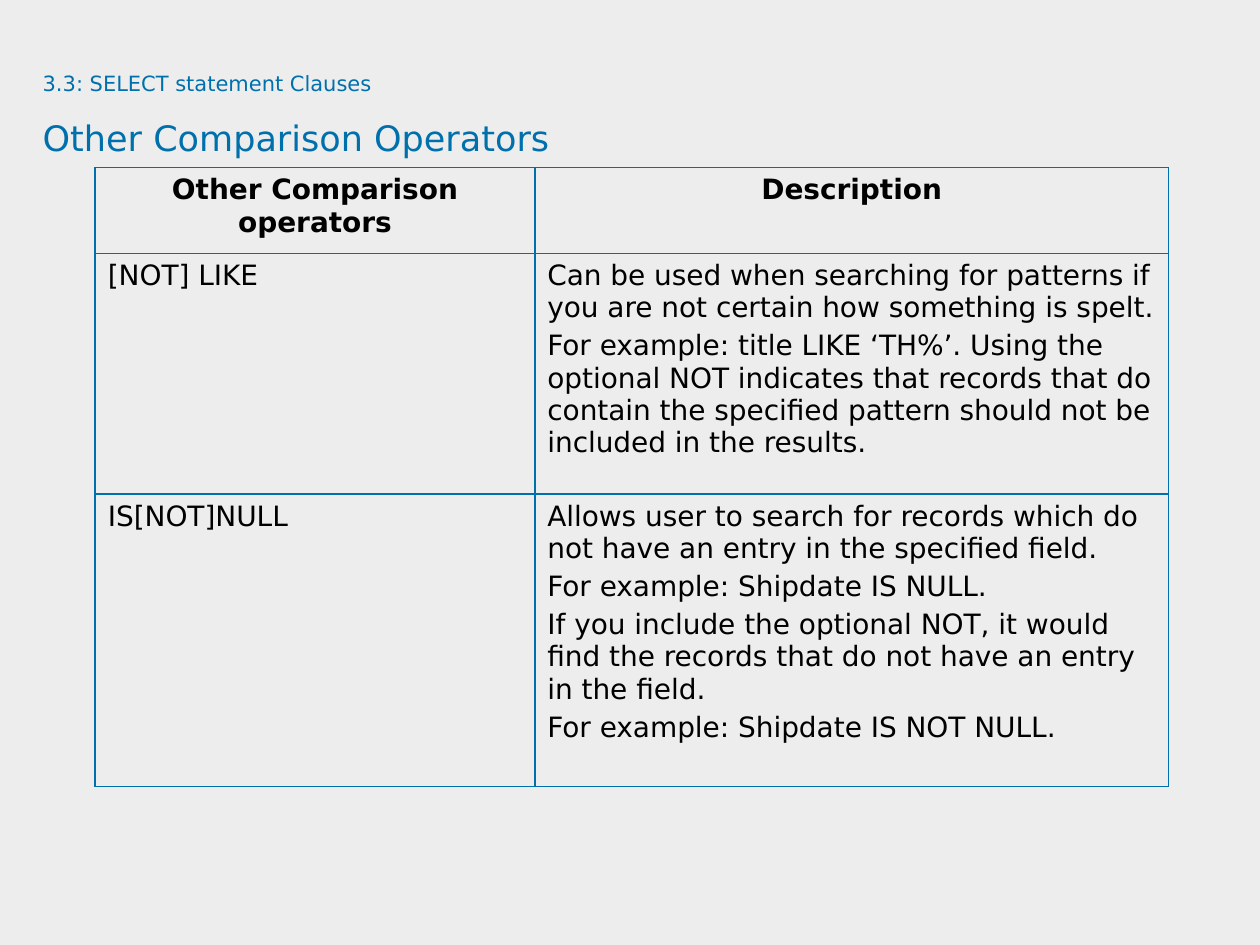
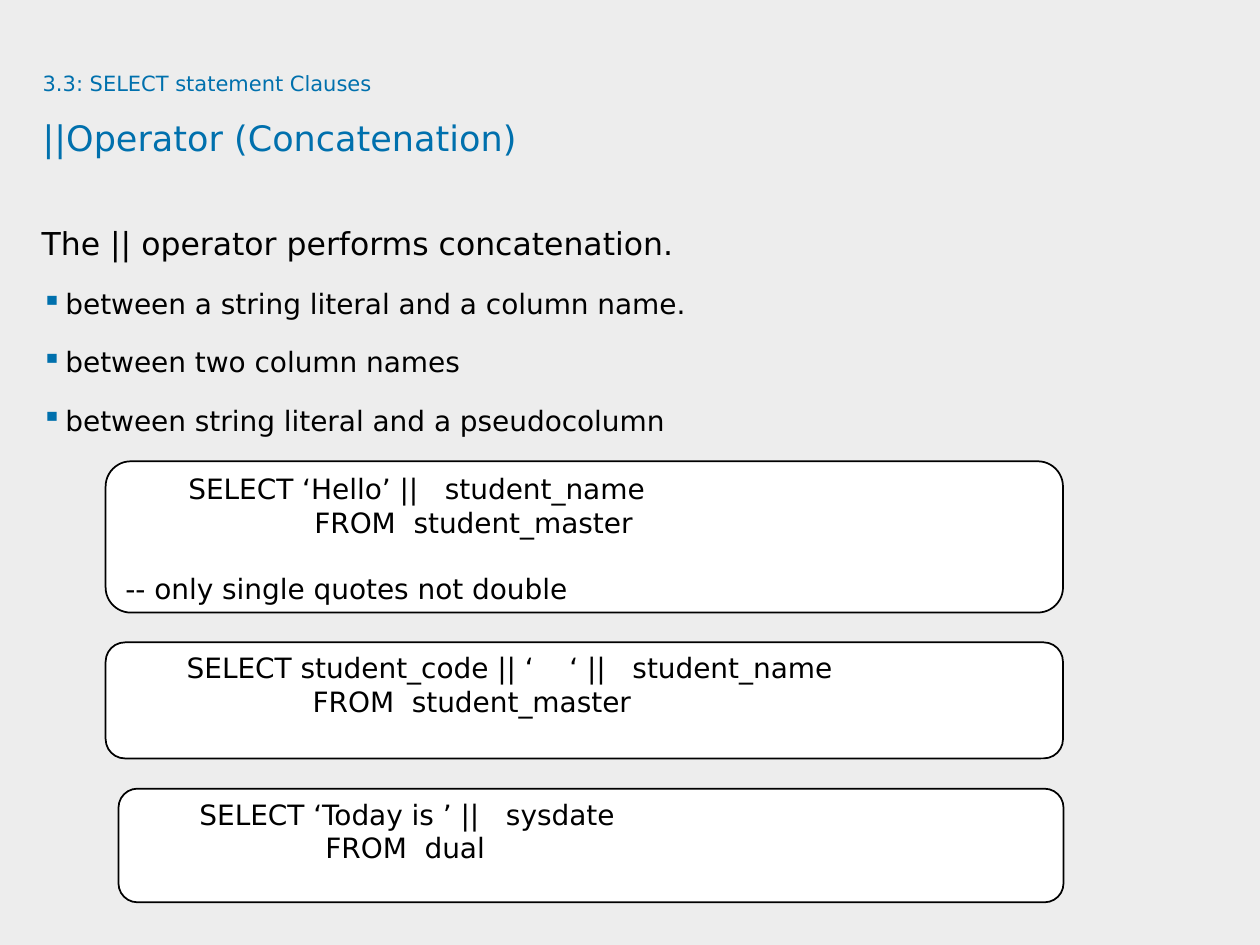
from lxml import etree
from pptx import Presentation
from pptx import util as u
from pptx.dml.color import RGBColor
from pptx.enum import shapes, text
from pptx.oxml.ns import qn

FONT = "DejaVu Sans"
COLORS = {"background": "EDEDED", "accent": "0070AD", "text": "000000", "box": "FFFFFF"}

SECTION = "3.3: SELECT statement Clauses"
TABLE_TITLE = "Other Comparison Operators"
CONCATENATION_TITLE = "||Operator (Concatenation)"

COLUMN_WIDTHS = (8.86, 12.78)
ROW_HEIGHTS = (1.73, 4.85, 5.9)
OPERATOR_ROWS = [
    (["Other Comparison operators"], ["Description"]),
    (["[NOT] LIKE"], [
        "Can be used when searching for patterns if you are not certain how something is spelt.",
        "For example: title LIKE ‘TH%’. Using the optional NOT indicates that records that do "
        "contain the specified pattern should not be included in the results.",
    ]),
    (["IS[NOT]NULL"], [
        "Allows user to search for records which do not have an entry in the specified field.",
        "For example: Shipdate IS NULL.",
        "If you include the optional NOT, it would find the records that do not have an entry "
        "in the field.",
        "For example: Shipdate IS NOT NULL.",
    ]),
]

INTRODUCTION = "The || operator performs concatenation."
USES = [
    "between a string literal and a column name.",
    "between two column names",
    "between string literal and a pseudocolumn",
]

# left, top, width, height in cm; then select line, from line, remark
QUERIES = [
    ((2.13, 9.3, 19.3, 3.05), "SELECT ‘Hello’ ||   student_name",
     "FROM  student_master", "-- only single quotes not double"),
    ((2.13, 12.95, 19.3, 2.34), "SELECT student_code || ‘    ‘ ||   student_name",
     "FROM  student_master", None),
    ((2.39, 15.9, 19.05, 2.29), "SELECT ‘Today is ’ ||   sysdate", "FROM  dual", None),
]
SELECT_INDENT, FROM_INDENT = 1.27, 3.81
LINE_HEIGHT = 18.6


def color(name):
    return RGBColor.from_string(COLORS[name])


def add_run(paragraph, content, size, color_name="text", bold=False):
    run = paragraph.add_run()
    run.text = content
    run.font.name = FONT
    run.font.size = u.Pt(size)
    run.font.bold = bold
    run.font.color.rgb = color(color_name)


def paragraphs_for(frame, count):
    """Return count paragraphs, the first being the one the frame already has."""
    return [frame.paragraphs[0]] + [frame.add_paragraph() for _ in range(count - 1)]


def set_indent(paragraph, left, first=0):
    properties = paragraph._p.get_or_add_pPr()
    properties.set("marL", str(u.Cm(left)))
    properties.set("indent", str(u.Cm(first)))
    return properties


def prepare_frame(frame, left=0, top=0):
    frame.word_wrap = True
    frame.auto_size = text.MSO_AUTO_SIZE.NONE
    frame.vertical_anchor = text.MSO_ANCHOR.TOP
    frame.margin_left = frame.margin_right = u.Cm(left)
    frame.margin_top = frame.margin_bottom = u.Cm(top)


def add_slide(presentation, heading):
    slide = presentation.slides.add_slide(presentation.slide_layouts[5])
    title = slide.shapes.title
    title.left, title.top, title.width, title.height = map(u.Cm, (0.86, 1.17, 23.09, 2.39))
    prepare_frame(title.text_frame)
    paragraph = title.text_frame.paragraphs[0]
    paragraph.alignment = text.PP_ALIGN.LEFT
    paragraph.line_spacing = 1.5
    add_run(paragraph, SECTION, 12, "accent")
    paragraph.add_line_break()
    add_run(paragraph, heading, 20, "accent")
    return slide


def set_borders(cell):
    properties = cell._tc.get_or_add_tcPr()
    for position, side in enumerate(("lnL", "lnR", "lnT", "lnB")):
        line = etree.Element(qn(f"a:{side}"), w=str(u.Pt(1)))
        fill = etree.SubElement(line, qn("a:solidFill"))
        etree.SubElement(fill, qn("a:srgbClr"), val=COLORS["accent"])
        properties.insert(position, line)


def add_operator_table(slide):
    table = slide.shapes.add_table(
        len(ROW_HEIGHTS), len(COLUMN_WIDTHS), u.Cm(1.92), u.Cm(3.38),
        u.Cm(sum(COLUMN_WIDTHS)), u.Cm(sum(ROW_HEIGHTS))).table
    table.first_row = table.horz_banding = False
    for column, width in zip(table.columns, COLUMN_WIDTHS):
        column.width = u.Cm(width)
    for row_index, (row, height) in enumerate(zip(table.rows, ROW_HEIGHTS)):
        row.height = u.Cm(height)
        is_header = row_index == 0
        for cell, lines in zip(row.cells, OPERATOR_ROWS[row_index]):
            cell.fill.background()
            set_borders(cell)
            paragraphs = paragraphs_for(cell.text_frame, len(lines))
            for index, (paragraph, line) in enumerate(zip(paragraphs, lines)):
                paragraph.alignment = text.PP_ALIGN.CENTER if is_header else text.PP_ALIGN.LEFT
                paragraph.space_before = u.Pt(3.2 if index else 0)
                add_run(paragraph, line, 16, bold=is_header)


def add_bullet(paragraph):
    properties = set_indent(paragraph, 0.48, -0.48)
    bullet_color = etree.SubElement(properties, qn("a:buClr"))
    etree.SubElement(bullet_color, qn("a:srgbClr"), val=COLORS["accent"])
    etree.SubElement(properties, qn("a:buChar"), char="▪")


def add_uses(slide):
    box = slide.shapes.add_textbox(u.Cm(0.84), u.Cm(4.14), u.Cm(24.56), u.Cm(12.9))
    prepare_frame(box.text_frame)
    lines = [INTRODUCTION] + USES
    paragraphs = paragraphs_for(box.text_frame, len(lines))
    for index, (paragraph, line) in enumerate(zip(paragraphs, lines)):
        paragraph.line_spacing = 1.5
        paragraph.space_after = u.Pt(4.5)
        if index:
            add_bullet(paragraph)
        add_run(paragraph, line, 16 if index else 18)


def add_query(slide, place, select_line, from_line, remark):
    box = slide.shapes.add_shape(shapes.MSO_SHAPE.ROUNDED_RECTANGLE, *map(u.Cm, place))
    box.shadow.inherit = False
    box.fill.solid()
    box.fill.fore_color.rgb = color("box")
    box.line.color.rgb = color("text")
    box.line.width = u.Pt(1)
    prepare_frame(box.text_frame, left=0.25, top=0.06)
    lines = [(select_line, SELECT_INDENT, 0), (from_line, FROM_INDENT, 0)]
    if remark:
        lines.append((remark, 0, LINE_HEIGHT))
    paragraphs = paragraphs_for(box.text_frame, len(lines))
    for paragraph, (line, indent, gap) in zip(paragraphs, lines):
        paragraph.alignment = text.PP_ALIGN.LEFT
        paragraph.space_before = u.Pt(gap)
        set_indent(paragraph, indent)
        add_run(paragraph, line, 16)


def main():
    presentation = Presentation()
    presentation.slide_width, presentation.slide_height = u.Cm(25.4), u.Cm(19.05)
    background = presentation.slide_master.background.fill
    background.solid()
    background.fore_color.rgb = color("background")

    add_operator_table(add_slide(presentation, TABLE_TITLE))

    slide = add_slide(presentation, CONCATENATION_TITLE)
    add_uses(slide)
    for query in QUERIES:
        add_query(slide, *query)

    presentation.save("out.pptx")


if __name__ == "__main__":
    main()
